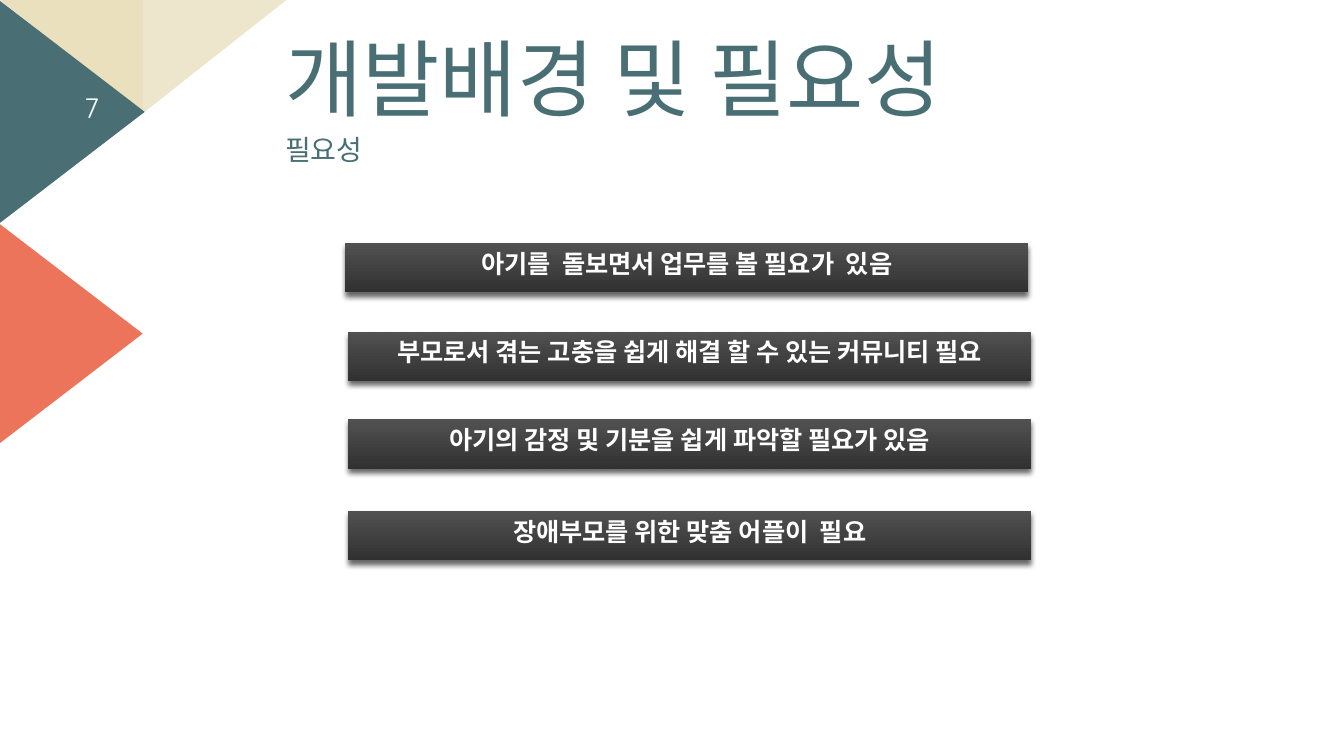
from dataclasses import dataclass

from lxml import etree
from pptx import Presentation
from pptx.dml.color import RGBColor
from pptx.enum.shapes import MSO_SHAPE
from pptx.enum.text import MSO_ANCHOR, PP_ALIGN
from pptx.oxml.ns import qn
from pptx.util import Inches, Pt

RIGHT_TRIANGLE = MSO_SHAPE.RIGHT_TRIANGLE
TRIANGLE = MSO_SHAPE.ISOSCELES_TRIANGLE
RECTANGLE = MSO_SHAPE.RECTANGLE
TOP, MIDDLE = MSO_ANCHOR.TOP, MSO_ANCHOR.MIDDLE
LEFT, CENTER, RIGHT = PP_ALIGN.LEFT, PP_ALIGN.CENTER, PP_ALIGN.RIGHT


@dataclass(frozen=True)
class Theme:
    teal: str = "496F74"
    coral: str = "EC745B"
    sand: str = "EAE0BE"
    light_sand: str = "EEE6CC"
    white: str = "FEFFFF"
    bar_text: str = "FFFFFF"
    bar_top: str = "515151"
    bar_bottom: str = "313131"
    shadow: str = "000000"
    korean_font: str = "Noto Sans CJK KR"
    latin_font: str = "Quicksand"
    title_size: int = 60
    label_size: int = 20
    bar_size: int = 18


class SlideBuilder:
    def __init__(self, page, theme):
        self.page = page
        self.theme = theme

    def set_text(self, shape, text, size, color, font, align=LEFT, anchor=TOP,
                 bold=False, line_spacing=None):
        frame = shape.text_frame
        frame.word_wrap = True
        frame.vertical_anchor = anchor
        frame.text = text
        para = frame.paragraphs[0]
        para.alignment = align
        para.space_before = Pt(0)
        para.line_spacing = line_spacing
        para.font.name = font
        para.font.size = Pt(size)
        para.font.bold = bold
        para.font.color.rgb = RGBColor.from_string(color)

    def title(self, text, left, top, width, height):
        box = self.page.shapes.title
        box.left, box.top = Inches(left), Inches(top)
        box.width, box.height = Inches(width), Inches(height)
        theme = self.theme
        self.set_text(box, text, theme.title_size, theme.teal, theme.korean_font,
                      line_spacing=0.9)

    def label(self, text, left, top, width, height, color, font, **style):
        box = self.page.shapes.add_textbox(
            Inches(left), Inches(top), Inches(width), Inches(height))
        self.set_text(box, text, self.theme.label_size, color, font, **style)

    def shape(self, kind, left, top, width, height):
        shape = self.page.shapes.add_shape(
            kind, Inches(left), Inches(top), Inches(width), Inches(height))
        shape.shadow.inherit = False
        shape.line.fill.background()
        return shape

    def triangle(self, kind, left, top, width, height, color, rotation, flip=False):
        shape = self.shape(kind, left, top, width, height)
        shape.fill.solid()
        shape.fill.fore_color.rgb = RGBColor.from_string(color)
        shape.rotation = rotation
        if flip:
            shape._element.spPr.find(qn("a:xfrm")).set("flipH", "1")

    def bar(self, text, left, top, width, height):
        theme = self.theme
        shape = self.shape(RECTANGLE, left, top, width, height)
        shape.fill.gradient()
        shape.fill.gradient_angle = 270
        for stop, color in zip(shape.fill.gradient_stops,
                               (theme.bar_top, theme.bar_bottom)):
            stop.color.rgb = RGBColor.from_string(color)
        effects = shape._element.spPr.find(qn("a:effectLst"))
        shadow = etree.SubElement(
            effects, qn("a:outerShdw"), blurRad=str(Pt(4)), dist=str(Pt(3)),
            dir="5400000", algn="ctr", rotWithShape="0")
        color = etree.SubElement(shadow, qn("a:srgbClr"), val=theme.shadow)
        etree.SubElement(color, qn("a:alpha"), val="60000")
        self.set_text(shape, text, theme.bar_size, theme.bar_text,
                      theme.latin_font, align=CENTER, bold=True)
        indent = shape.text_frame.paragraphs[0]._p.get_or_add_pPr()
        indent.set("marL", str(Inches(0.38)))
        indent.set("indent", str(Inches(-0.38)))


def main():
    deck = Presentation()
    deck.slide_width, deck.slide_height = Inches(13.33), Inches(7.5)
    theme = Theme()
    builder = SlideBuilder(deck.slides.add_slide(deck.slide_layouts[5]), theme)

    builder.triangle(RIGHT_TRIANGLE, 0, 0, 1.42, 1.12, theme.sand, 180)
    builder.triangle(RIGHT_TRIANGLE, 1.42, 0, 1.42, 1.12, theme.light_sand, 180, flip=True)
    builder.triangle(TRIANGLE, -0.39, 0.39, 2.21, 1.44, theme.teal, 90)
    builder.triangle(TRIANGLE, -0.41, 2.59, 2.21, 1.44, theme.coral, 90)

    builder.title("개발배경 및 필요성", 2.73, 0.33, 8.84, 1.29)
    builder.label("필요성", 2.73, 1.3, 3.46, 0.62, theme.teal, theme.korean_font,
                  line_spacing=0.9)
    builder.label("7", 0.44, 0.86, 0.64, 0.4, theme.white, theme.latin_font,
                  align=RIGHT, anchor=MIDDLE)

    needs = (
        ("아기를  돌보면서 업무를 볼 필요가  있음", 3.42, 2.41),
        ("부모로서 겪는 고충을 쉽게 해결 할 수 있는 커뮤니티 필요", 3.45, 3.29),
        ("아기의 감정 및 기분을 쉽게 파악할 필요가 있음", 3.45, 4.16),
        ("장애부모를 위한 맞춤 어플이  필요", 3.45, 5.07),
    )
    for text, left, top in needs:
        builder.bar(text, left, top, 6.78, 0.49)

    deck.save("out.pptx")


if __name__ == "__main__":
    main()
